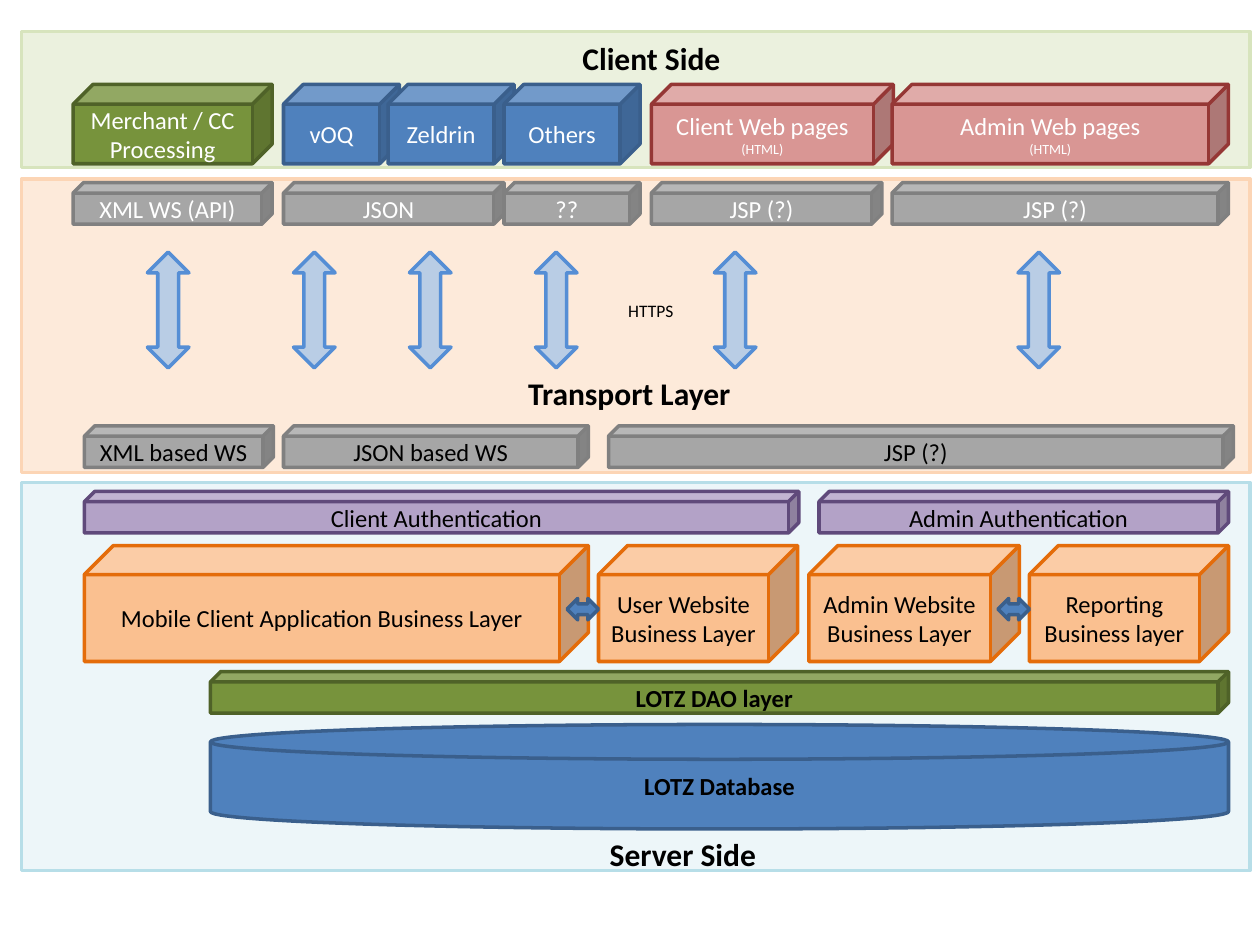
from lxml import etree
from pptx import Presentation
from pptx.dml.color import RGBColor
from pptx.enum import shapes as kinds, text as styles
from pptx.oxml import ns
from pptx.util import Inches, Pt

# Fill and line of each kind of part
COLORS = {
    "client": ("EBF1DE", "D7E4BD"),
    "transport": ("FDEADA", "FCD5B5"),
    "server": ("DBEEF4", "B7DEE8"),
    "gray": ("A6A6A6", "808080"),
    "green": ("77933C", "4F6228"),
    "blue": ("4F81BD", "3A5F8C"),
    "red": ("D99694", "953735"),
    "orange": ("FAC090", "E46C0A"),
    "purple": ("B3A2C7", "604A7B"),
    "arrow": ("B9CDE5", "558ED5"),
}
INK = {"white": "FFFFFF", "black": "000000"}
SHAPE = kinds.MSO_SHAPE
BAR = 0.33

presentation = Presentation()
presentation.slide_width, presentation.slide_height = Inches(10), Inches(7.5)
slide = presentation.slides.add_slide(presentation.slide_layouts[6])


def inside(box, left, top, width, height):
    """Turn offsets within a region into slide lengths."""
    return [Inches(n) for n in (box[0] + left, box[1] + top, width, height)]


def write(shape, words, ink="black", sizes=(14,), bold=False):
    frame = shape.text_frame
    frame.text = words
    frame.word_wrap = True
    for paragraph, size in zip(frame.paragraphs, sizes):
        paragraph.alignment = styles.PP_ALIGN.CENTER
        font_format = {"name": "Calibri", "size": Pt(size), "bold": bold}
        for run in paragraph.runs:
            for name, value in font_format.items():
                setattr(run.font, name, value)
            run.font.color.rgb = RGBColor.from_string(INK[ink])


def add_part(kind, box, place, color, words="", **text_format):
    shape = slide.shapes.add_shape(kind, *inside(box, *place))
    fill, line = COLORS[color]
    shape.shadow.inherit = False
    shape.fill.solid()
    shape.fill.fore_color.rgb = RGBColor.from_string(fill)
    shape.line.color.rgb = RGBColor.from_string(line)
    shape.line.width = Pt(2)
    if words:
        shape.text_frame.vertical_anchor = styles.MSO_ANCHOR.MIDDLE
        write(shape, words, **text_format)
    return shape


def add_panel(box, color):
    return add_part(SHAPE.RECTANGLE, box, (0, 0, *box[2:]), color)


def add_label(box, place, words, size=18, bold=True):
    label = slide.shapes.add_textbox(*inside(box, *place))
    write(label, words, sizes=(size,), bold=bold)
    label.text_frame.auto_size = styles.MSO_AUTO_SIZE.SHAPE_TO_FIT_TEXT


def add_cubes(box, top, height, cubes, **text_format):
    """Place one row of cubes given as left, width, colour and words."""
    for left, width, color, words in cubes:
        add_part(SHAPE.CUBE, box, (left, top, width, height), color, words, **text_format)


def add_client_side(box):
    add_panel(box, "client")
    add_cubes(box, 0.42, 0.63, [
        (2.08, 0.92, "blue", "vOQ"),
        (2.91, 1, "blue", "Zeldrin"),
        (3.83, 1.08, "blue", "Others"),
        (0.41, 1.58, "green", "Merchant / CC Processing"),
        (5, 1.92, "red", "Client Web pages\n(HTML)"),
        (6.91, 2.67, "red", "Admin Web pages\n(HTML)"),
    ], ink="white", sizes=(14, 8))
    add_label(box, (4, 0.01, 2, 0.4), "Client Side")


def add_transport_layer(box):
    add_panel(box, "transport")
    # Client formats
    add_cubes(box, 0.03, BAR, [
        (5, 1.83, "gray", "JSP (?)"),
        (6.91, 2.67, "gray", "JSP (?)"),
        (0.41, 1.58, "gray", "XML WS (API)"),
        (3.83, 1.08, "gray", "??"),
        (2.08, 1.75, "gray", "JSON"),
    ], ink="white")
    # Server formats
    add_cubes(box, 1.96, BAR, [
        (4.66, 4.96, "gray", "JSP (?)"),
        (2.08, 2.42, "gray", "JSON based WS"),
        (0.5, 1.5, "gray", "XML based WS"),
    ])
    # Two-way traffic
    for left in (1, 2.16, 3.08, 4.08, 5.5, 7.91):
        add_part(SHAPE.UP_DOWN_ARROW, box, (left, 0.58, 0.33, 0.92), "arrow")
    add_label(box, (3.41, 1.5, 2.83, 0.4), "Transport Layer")
    add_label(box, (3.58, 0.91, 2.83, 0.27), "HTTPS", size=10, bold=False)


def add_server_side(box):
    panel = add_panel(box, "server")
    color = panel.fill._xPr.find(".//" + ns.qn("a:srgbClr"))
    etree.SubElement(color, ns.qn("a:alpha"), val="49000")
    # Authentication
    add_cubes(box, 0.07, BAR, [
        (0.5, 5.67, "purple", "Client Authentication"),
        (6.33, 3.25, "purple", "Admin Authentication"),
    ])
    # Business layers, linked in pairs
    pairs = [
        [(0.5, 4, "orange", "Mobile Client Application Business Layer"),
         (4.58, 1.58, "orange", "User Website Business Layer")],
        [(6.25, 1.67, "orange", "Admin Website Business Layer"),
         (8, 1.58, "orange", "Reporting Business layer")],
    ]
    for pair in pairs:
        add_cubes(box, 0.5, 0.92, pair)
        arrow_left = pair[1][0] - 0.25
        add_part(SHAPE.LEFT_RIGHT_ARROW, box, (arrow_left, 0.92, 0.25, 0.17), "blue")
    # Data
    add_cubes(box, 1.5, BAR, [(1.5, 8.08, "green", "LOTZ DAO layer")], bold=True)
    add_part(SHAPE.FLOWCHART_MAGNETIC_DISK, box, (1.5, 1.92, 8.08, 0.83), "blue",
             "LOTZ Database", bold=True)
    add_label(box, (4.25, 2.75, 2, 0.4), "Server Side")


add_transport_layer((0.17, 1.42, 9.75, 2.33))
add_server_side((0.17, 3.83, 9.75, 3.08))
add_client_side((0.17, 0.25, 9.75, 1.08))
presentation.save("out.pptx")
